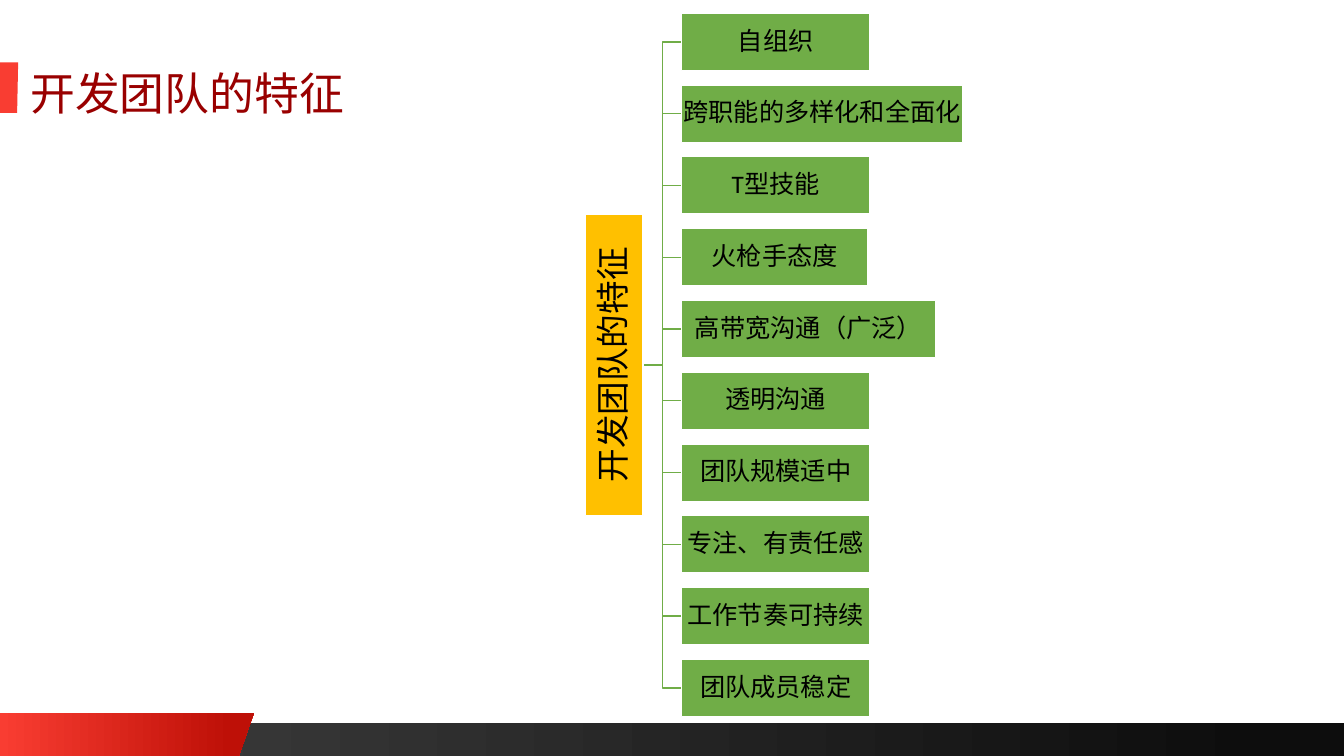
from dataclasses import dataclass

from pptx import Presentation
from pptx.dml.color import RGBColor
from pptx.enum.shapes import MSO_SHAPE
from pptx.enum.text import MSO_ANCHOR, PP_ALIGN
from pptx.util import Inches, Pt

COLS, ROWS = 160, 90
CELL = Inches(13.33) / COLS


@dataclass(frozen=True)
class Theme:
    """Colours, fonts and type sizes of the slide."""
    red: str = "F93D32"
    crimson: str = "BE1007"
    smoke: str = "404040"
    night: str = "0D0D0D"
    title: str = "990000"
    root: str = "FFC000"
    leaf: str = "70AD47"
    edge: str = "FFFFFF"
    ink: str = "000000"
    head_font: str = "Roboto"
    body_font: str = "Calibri"
    head_size: int = 32
    root_size: int = 24
    leaf_size: int = 18


@dataclass(frozen=True)
class Box:
    """A rectangle in grid cells."""
    x: float
    y: float
    w: float
    h: float

    def emu(self):
        """Return left, top, width and height as slide lengths."""
        return [grid(v) for v in (self.x, self.y, self.w, self.h)]


THEME = Theme()
TITLE = "开发团队的特征"
WIDTH = 22.44
TRAITS = [
    ("自组织", WIDTH),
    ("跨职能的多样化和全面化", 33.48),
    ("T型技能", WIDTH),
    ("火枪手态度", 22.2),
    ("高带宽沟通（广泛）", 30.24),
    ("透明沟通", WIDTH),
    ("团队规模适中", WIDTH),
    ("专注、有责任感", WIDTH),
    ("工作节奏可持续", WIDTH),
    ("团队成员稳定", WIDTH),
]


def grid(cells):
    """Turn grid cells into a slide length."""
    return round(cells * CELL)


def color(code):
    """Turn a hex code into a colour."""
    return RGBColor.from_string(code)


def paint(shape, fill=None, line=None):
    """Set a plain fill and line, or none."""
    shape.shadow.inherit = False
    if fill:
        shape.fill.solid()
        shape.fill.fore_color.rgb = color(fill)
    else:
        shape.fill.background()
    if line:
        shape.line.color.rgb = color(line)
        shape.line.width = Pt(1)
    else:
        shape.line.fill.background()


def blend(shape, start, end, stop):
    """Fill a shape with a gradient from left to right."""
    paint(shape)
    shape.fill.gradient()
    shape.fill.gradient_angle = 0
    for mark, code, place in zip(shape.fill.gradient_stops, (start, end), (0, stop)):
        mark.color.rgb = color(code)
        mark.position = place


def write(shape, text, font, size, ink, pad, space):
    """Put one styled paragraph in a shape."""
    frame = shape.text_frame
    frame.word_wrap = True
    frame.margin_left = frame.margin_right = Inches(pad[0])
    frame.margin_top = frame.margin_bottom = Inches(pad[1])
    frame.text = text
    line = frame.paragraphs[0]
    line.line_spacing = space
    line.font.name = font
    line.font.size = Pt(size)
    line.font.color.rgb = color(ink)
    return frame


def trace(slide, points, close):
    """Draw an outline through grid points."""
    spots = [(grid(x), grid(y)) for x, y in points]
    pen = slide.shapes.build_freeform(*spots[0])
    pen.add_line_segments(spots[1:], close=close)
    return pen.convert_to_shape()


def wedge(slide, box, foot):
    """Draw a block whose lower edge has its own width."""
    low = box.y + box.h
    points = [(box.x, box.y), (box.x + box.w, box.y), (box.x + foot, low), (box.x, low)]
    return trace(slide, points, True)


def footer(slide, box):
    """Draw the dark bar and the red wedge at its left."""
    tall = 3.96
    strip = Box(box.x, box.y + box.h - tall, box.w, tall)
    bar = slide.shapes.add_shape(MSO_SHAPE.RECTANGLE, *strip.emu())
    blend(bar, THEME.smoke, THEME.night, 0.94)
    flag = wedge(slide, Box(box.x, box.y, 30.24, box.h), 28.44)
    blend(flag, THEME.red, THEME.crimson, 0.91)


def header(slide, box):
    """Draw the red tag and the title."""
    tag = wedge(slide, Box(box.x, box.y + 0.72, 2.16, 6), 2.04)
    paint(tag, THEME.red)
    inset = 2.52
    area = Box(box.x + inset, box.y, box.w - inset, box.h)
    text = slide.shapes.add_textbox(*area.emu())
    write(text, TITLE, THEME.head_font, THEME.head_size, THEME.title, (0.09, 0.04), 1.1)


def node(slide, box, text, fill, size, pad):
    """Draw one filled label of the tree."""
    shape = slide.shapes.add_shape(MSO_SHAPE.RECTANGLE, *box.emu())
    paint(shape, fill, THEME.edge)
    frame = write(shape, text, THEME.body_font, size, THEME.ink, (pad, pad), 0.9)
    frame.vertical_anchor = MSO_ANCHOR.MIDDLE
    frame.paragraphs[0].alignment = PP_ALIGN.CENTER
    return shape


def tree(slide, box):
    """Draw the upright root, its branches and the trait labels."""
    thick, gap, span = 6.84, 4.56, 35.88
    pitch = (box.h - thick) / (len(TRAITS) - 1)
    mid = box.y + box.h / 2
    stem = box.x + thick
    left = stem + gap
    bend = stem + gap / 2
    tops = [box.y + i * pitch for i in range(len(TRAITS))]
    for top in reversed(tops):
        end = top + thick / 2
        branch = trace(slide, [(stem, mid), (bend, mid), (bend, end), (left, end)], False)
        paint(branch, line=THEME.leaf)
    flat = Box(box.x + (thick - span) / 2, mid - thick / 2, span, thick)
    root = node(slide, flat, TITLE, THEME.root, THEME.root_size, 0.02)
    root.rotation = 270
    for top, (text, wide) in zip(tops, TRAITS):
        node(slide, Box(left, top, wide, thick), text, THEME.leaf, THEME.leaf_size, 0.01)


def main():
    """Build and save the slide."""
    deck = Presentation()
    deck.slide_width, deck.slide_height = grid(COLS), grid(ROWS)
    slide = deck.slides.add_slide(deck.slide_layouts[6])
    footer(slide, Box(0, 84.84, COLS, 5.16))
    header(slide, Box(0, 6.72, 110.28, 8.16))
    tree(slide, Box(69.72, 1.56, 44.88, 83.76))
    deck.save("out.pptx")


if __name__ == "__main__":
    main()
